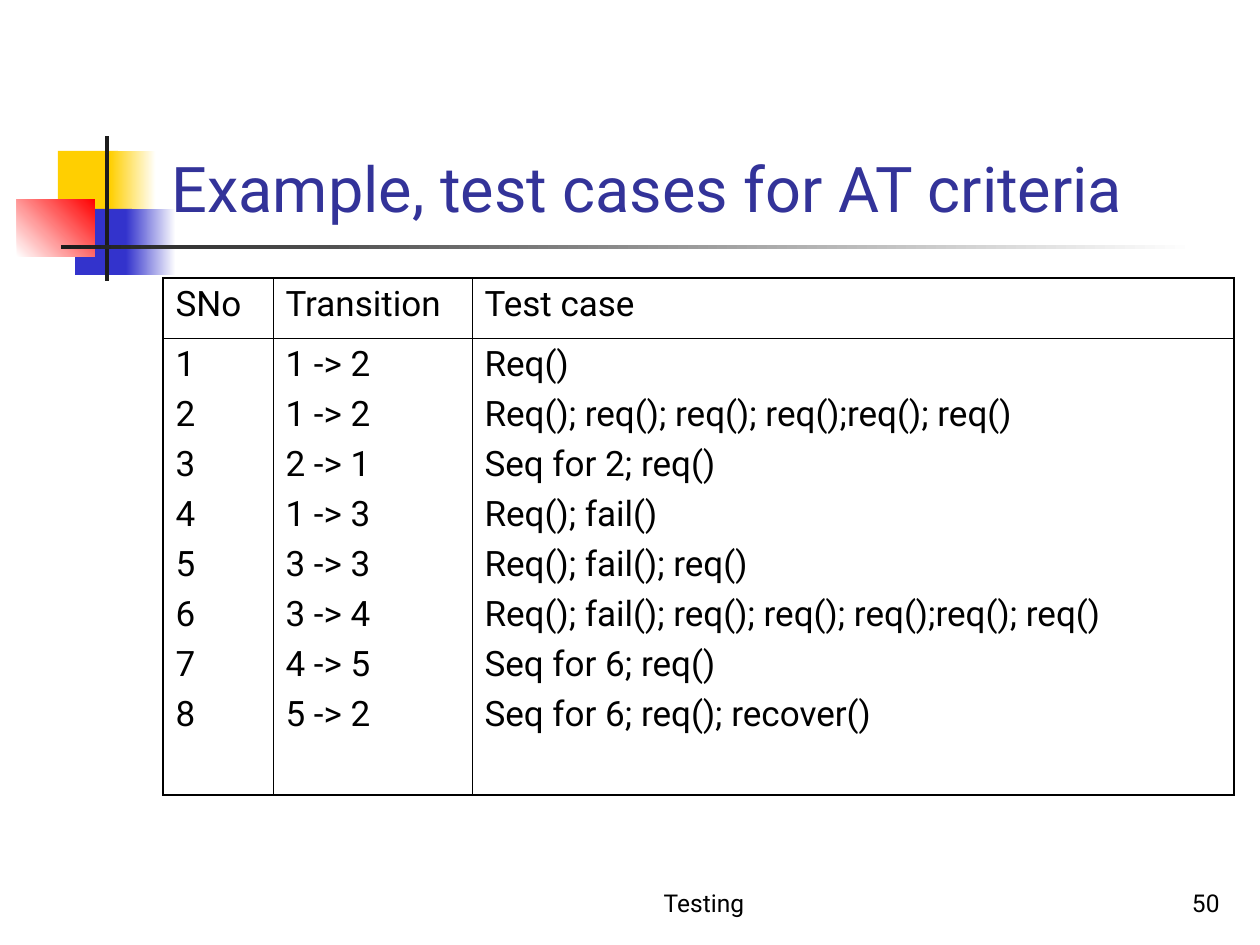
from dataclasses import dataclass

from lxml.etree import SubElement
from pptx import Presentation
from pptx.dml.color import RGBColor
from pptx.enum.shapes import MSO_SHAPE
from pptx.enum.text import MSO_ANCHOR, PP_ALIGN
from pptx.oxml.ns import qn
from pptx.util import Emu, Pt

FONT = "Roboto"
BLACK, WHITE, GOLD, BLUE, RED, DARK = (
    "000000", "FFFFFF", "FFCF01", "3333CC", "FF0000", "1C1C1C")
THICK, THIN = Pt(1.08), Pt(0.45)


@dataclass
class Block:
    x: int
    y: int
    w: int
    h: int
    start: str
    end: str = ""
    angle: int = 0


@dataclass
class Footer:
    x: int
    w: int
    text: str
    align: PP_ALIGN


@dataclass
class Column:
    w: int
    heading: str
    items: list[str]


BLOCKS = [
    Block(58, 151, 60, 66, GOLD),
    Block(110, 151, 46, 66, GOLD, WHITE),
    Block(75, 209, 57, 66, BLUE),
    Block(126, 209, 50, 66, BLUE, WHITE),
    Block(17, 199, 78, 58, WHITE, RED, 45),
    Block(105, 136, 4, 145, DARK),
    Block(61, 245, 1134, 4, DARK, WHITE),
]
FOOTERS = [
    Footer(504, 400, "Testing", PP_ALIGN.CENTER),
    Footer(970, 262, "50", PP_ALIGN.RIGHT),
]
COLUMNS = [
    Column(110, "SNo", [str(n) for n in range(1, 9)]),
    Column(199, "Transition", [
        "1 -> 2", "1 -> 2", "2 -> 1", "1 -> 3",
        "3 -> 3", "3 -> 4", "4 -> 5", "5 -> 2"]),
    Column(762, "Test case", [
        "Req()",
        "Req(); req(); req(); req();req(); req()",
        "Seq for 2; req()",
        "Req(); fail()",
        "Req(); fail(); req()",
        "Req(); fail(); req(); req(); req();req(); req()",
        "Seq for 6; req()",
        "Seq for 6; req(); recover()"]),
]
ROW_HEIGHTS = [60, 457]


def px(n: int) -> Emu:
    return Emu(round(n * 914400 / 126))


def rgb(color: str) -> RGBColor:
    return RGBColor.from_string(color)


def format_runs(p, size: int, color: str = BLACK) -> None:
    for r in p.runs:
        r.font.name = FONT
        r.font.size = Pt(size)
        r.font.bold = False
        r.font.color.rgb = rgb(color)


def draw_block(s, b: Block) -> None:
    sp = s.shapes.add_shape(MSO_SHAPE.RECTANGLE, px(b.x), px(b.y), px(b.w), px(b.h))
    sp.shadow.inherit = False
    sp.line.fill.background()
    if not b.end:
        sp.fill.solid()
        sp.fill.fore_color.rgb = rgb(b.start)
        return
    sp.fill.gradient()
    sp.fill.gradient_angle = b.angle
    for stop, color in zip(sp.fill.gradient_stops, (b.start, b.end)):
        stop.color.rgb = rgb(color)


def draw_footer(s, f: Footer) -> None:
    tf = s.shapes.add_textbox(px(f.x), px(861), px(f.w), px(63)).text_frame
    tf.word_wrap = True
    tf.vertical_anchor = MSO_ANCHOR.BOTTOM
    tf.text = f.text
    p = tf.paragraphs[0]
    p.alignment = f.align
    format_runs(p, 14)


def set_title(s, text: str) -> None:
    sp = s.shapes.title
    sp.left, sp.top, sp.width, sp.height = px(159), px(29), px(1074), px(202)
    tf = sp.text_frame
    tf.vertical_anchor = MSO_ANCHOR.BOTTOM
    tf.text = text
    p = tf.paragraphs[0]
    p.alignment = PP_ALIGN.LEFT
    format_runs(p, 36, "333399")


def set_borders(cell, widths: dict[str, Pt]) -> None:
    tcPr = cell._tc.get_or_add_tcPr()
    for side, width in widths.items():
        ln = SubElement(tcPr, qn(f"a:ln{side}"), w=str(int(width)))
        fill = SubElement(ln, qn("a:solidFill"))
        SubElement(fill, qn("a:srgbClr"), val=BLACK)


def fill_cell(cell, lines: list[str]) -> None:
    cell.fill.background()
    tf = cell.text_frame
    tf.text = "\n".join(lines)
    for i, p in enumerate(tf.paragraphs):
        if i:
            p.space_before = Pt(5)
        format_runs(p, 20)


def draw_table(s, columns: list[Column], heights: list[int]) -> None:
    rows, cols = len(heights), len(columns)
    tbl = s.shapes.add_table(rows, cols, px(163), px(278),
                             px(sum(c.w for c in columns)), px(sum(heights))).table
    tbl.first_row = tbl.horz_banding = False
    for i, h in enumerate(heights):
        tbl.rows[i].height = px(h)
    for j, col in enumerate(columns):
        tbl.columns[j].width = px(col.w)
        for i, lines in enumerate(([col.heading], col.items)):
            cell = tbl.cell(i, j)
            set_borders(cell, {
                "L": THICK if j == 0 else THIN,
                "R": THICK if j == cols - 1 else THIN,
                "T": THICK if i == 0 else THIN,
                "B": THICK if i == rows - 1 else THIN})
            fill_cell(cell, lines)


def main() -> None:
    prs = Presentation()
    prs.slide_width, prs.slide_height = px(1260), px(945)
    s = prs.slides.add_slide(prs.slide_layouts[5])
    for b in BLOCKS:
        draw_block(s, b)
    for f in FOOTERS:
        draw_footer(s, f)
    set_title(s, "Example, test cases for AT criteria")
    draw_table(s, COLUMNS, ROW_HEIGHTS)
    prs.save("out.pptx")


if __name__ == "__main__":
    main()
